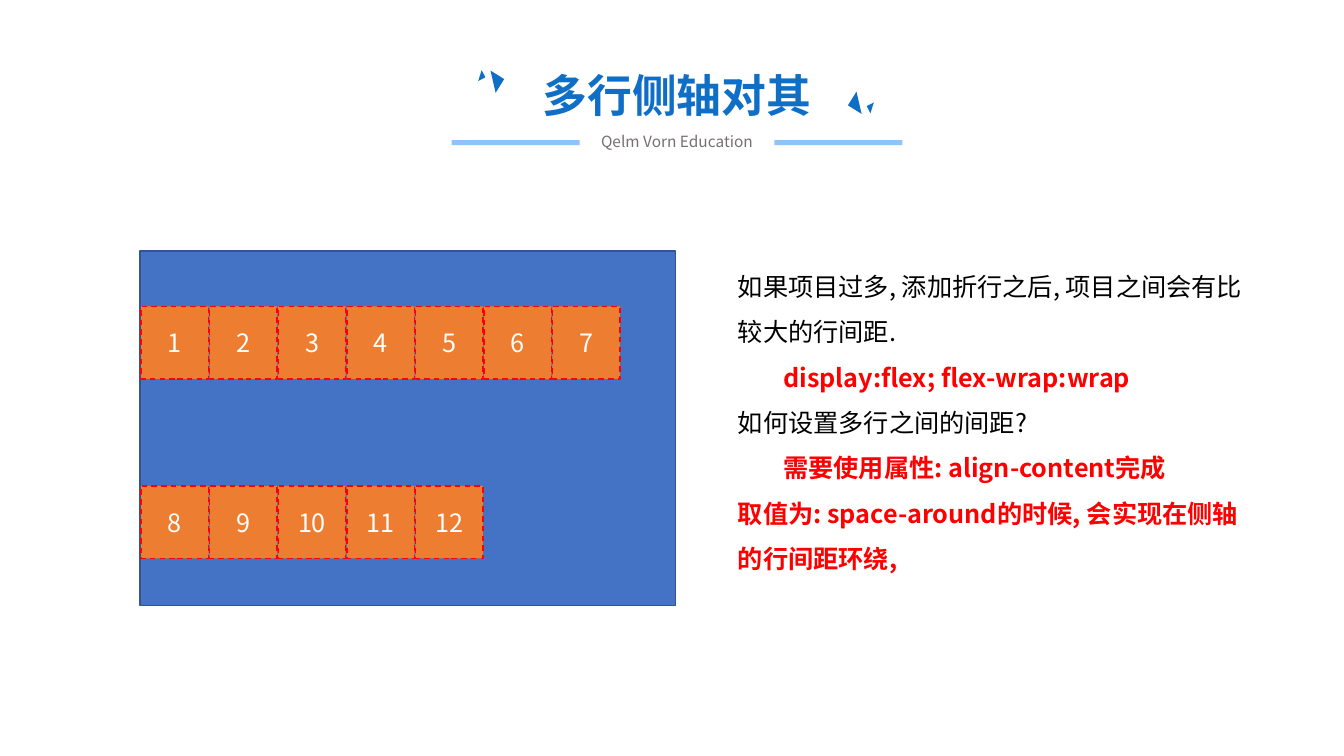
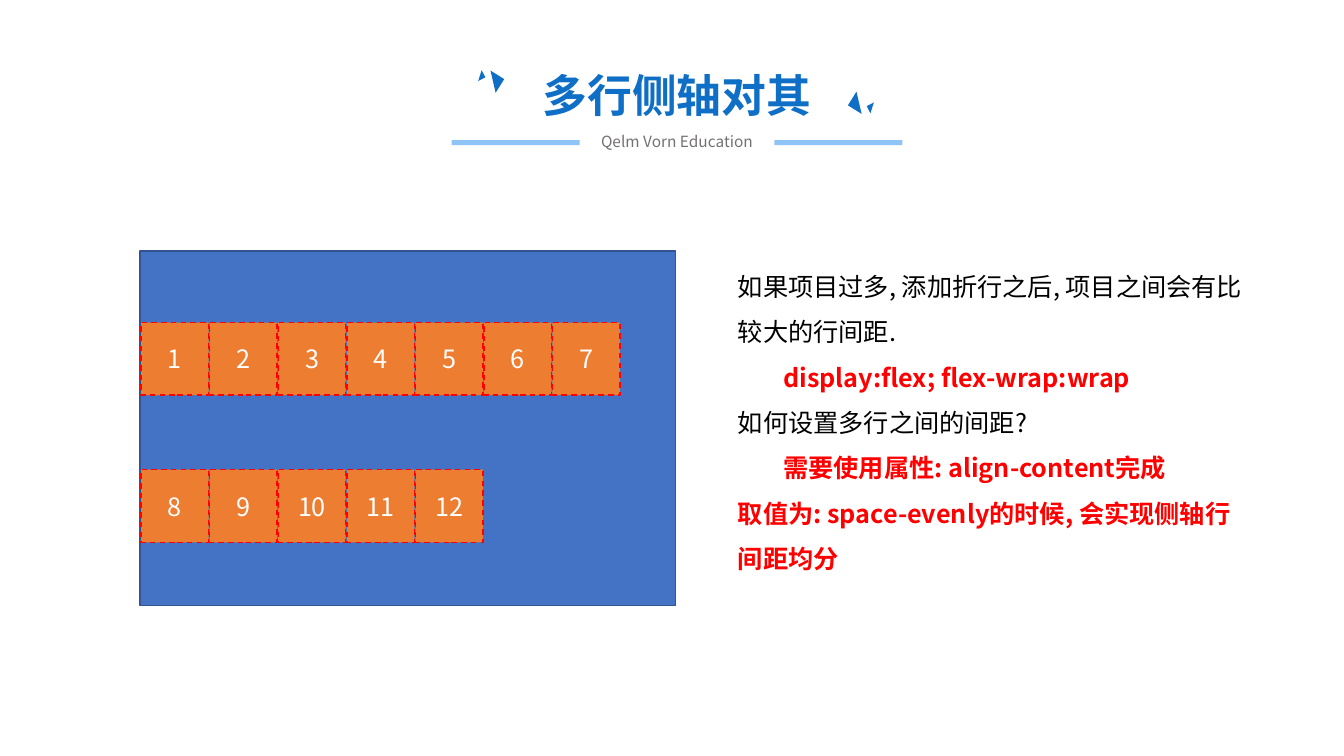
from dataclasses import dataclass

from lxml.etree import SubElement
from pptx import Presentation
from pptx.dml.color import RGBColor
from pptx.enum.dml import MSO_LINE
from pptx.enum.shapes import MSO_SHAPE
from pptx.enum.text import MSO_ANCHOR, MSO_AUTO_SIZE, PP_ALIGN
from pptx.oxml.ns import qn
from pptx.util import Inches, Pt


@dataclass(frozen=True)
class Theme:
    font: str = "Noto Sans CJK SC"
    title: str = "0F6FC6"
    bar: str = "8EC4F6"
    subtitle: str = "767171"
    body: str = "000000"
    accent: str = "FF0000"
    container: str = "4472C4"
    container_edge: str = "325491"
    item: str = "ED7D31"
    item_text: str = "FFFFFF"
    title_size: int = 32
    body_size: int = 18
    subtitle_size: int = 11


class Deck:
    def __init__(self, theme):
        self.theme = theme
        self.presentation = Presentation()
        self.presentation.slide_width = Inches(13.33)
        self.presentation.slide_height = Inches(7.5)
        self.slide = None

    def new_slide(self):
        blank = self.presentation.slide_layouts[6]
        self.slide = self.presentation.slides.add_slide(blank)

    def shape(self, box, fill, edge=None, kind=MSO_SHAPE.RECTANGLE, parent=None):
        owner = parent or self.slide
        shape = owner.shapes.add_shape(kind, *map(Inches, box))
        shape.shadow.inherit = False
        shape.fill.solid()
        shape.fill.fore_color.rgb = RGBColor.from_string(fill)
        if edge:
            shape.line.color.rgb = RGBColor.from_string(edge)
            shape.line.width = Pt(1)
        else:
            shape.line.fill.background()
        return shape

    def run(self, paragraph, text, size, color, bold=False):
        run = paragraph.add_run()
        run.text = text
        run.font.size = Pt(size)
        run.font.bold = bold
        run.font.name = self.theme.font
        run.font.color.rgb = RGBColor.from_string(color)
        # East Asian glyphs need their own typeface entry
        SubElement(run.font._element, qn("a:ea"), typeface=self.theme.font)

    def text_frame(self, box, wrap):
        frame = self.slide.shapes.add_textbox(*map(Inches, box)).text_frame
        frame.word_wrap = wrap
        frame.auto_size = MSO_AUTO_SIZE.SHAPE_TO_FIT_TEXT
        return frame

    def heading_line(self, box, text, size, color, bold=False):
        paragraph = self.text_frame(box, False).paragraphs[0]
        paragraph.alignment = PP_ALIGN.CENTER
        self.run(paragraph, text, size, color, bold)

    def shards(self, large, small, turn):
        group = self.slide.shapes.add_group_shape()
        for (left, top), side, angle in ((large, 0.16, 211.9), (small, 0.08, 242.5)):
            shard = self.shape((left, top, side, side), self.theme.title,
                               kind=MSO_SHAPE.RIGHT_TRIANGLE, parent=group)
            shard.rotation = (angle + turn) % 360

    def header(self, title, subtitle):
        theme = self.theme
        self.shards((4.81, 0.73), (4.72, 0.71), turn=0)
        self.shards((8.44, 0.94), (8.61, 1.03), turn=180)
        self.heading_line((5.28, 0.62, 2.87, 0.64), title,
                          theme.title_size, theme.title, True)
        self.heading_line((5.82, 1.26, 1.79, 0.29), subtitle,
                          theme.subtitle_size, theme.subtitle)
        for left in (4.48, 7.68):
            self.shape((left, 1.39, 1.27, 0.05), theme.bar)

    def explanation(self, lines):
        theme = self.theme
        frame = self.text_frame((7.22, 2.49, 5.25, 3.28), True)
        for index, (text, key_point, indent) in enumerate(lines):
            paragraph = frame.add_paragraph() if index else frame.paragraphs[0]
            paragraph.line_spacing = 1.5
            if indent:
                paragraph._p.get_or_add_pPr().set("indent", str(Inches(indent)))
            color = theme.accent if key_point else theme.body
            self.run(paragraph, text, theme.body_size, color, key_point)

    def item(self, number, left, top):
        theme = self.theme
        item = self.shape((left, top, 0.67, 0.72), theme.item, theme.accent)
        item.line.dash_style = MSO_LINE.DASH
        item.text_frame.vertical_anchor = MSO_ANCHOR.MIDDLE
        paragraph = item.text_frame.paragraphs[0]
        paragraph.alignment = PP_ALIGN.CENTER
        self.run(paragraph, str(number), theme.body_size, theme.item_text)

    def flex_container(self, row_tops, count=12, per_row=7, pitch=0.68):
        self.shape((1.39, 2.49, 5.31, 3.52), self.theme.container,
                   self.theme.container_edge)
        for index in range(count):
            row, column = divmod(index, per_row)
            self.item(index + 1, 1.4 + column * pitch, row_tops[row])


# Conclusion and item row positions for each align-content value
ALIGNMENTS = (
    ("取值为: space-around的时候, 会实现在侧轴的行间距环绕,", (3.04, 4.82)),
    ("取值为: space-evenly的时候, 会实现侧轴行间距均分", (3.2, 4.66)),
)

# Text, key point, first-line indent in inches
SHARED_LINES = (
    ("如果项目过多, 添加折行之后, 项目之间会有比较大的行间距.", False, 0),
    ("display:flex; flex-wrap:wrap", True, 0.45),
    ("如何设置多行之间的间距?", False, 0),
    ("需要使用属性: align-content完成", True, 0.45),
)


def main():
    deck = Deck(Theme())
    for conclusion, row_tops in ALIGNMENTS:
        deck.new_slide()
        deck.header("多行侧轴对其", "Qelm Vorn Education")
        deck.explanation((*SHARED_LINES, (conclusion, True, 0)))
        deck.flex_container(row_tops)
    deck.presentation.save("out.pptx")


if __name__ == "__main__":
    main()
